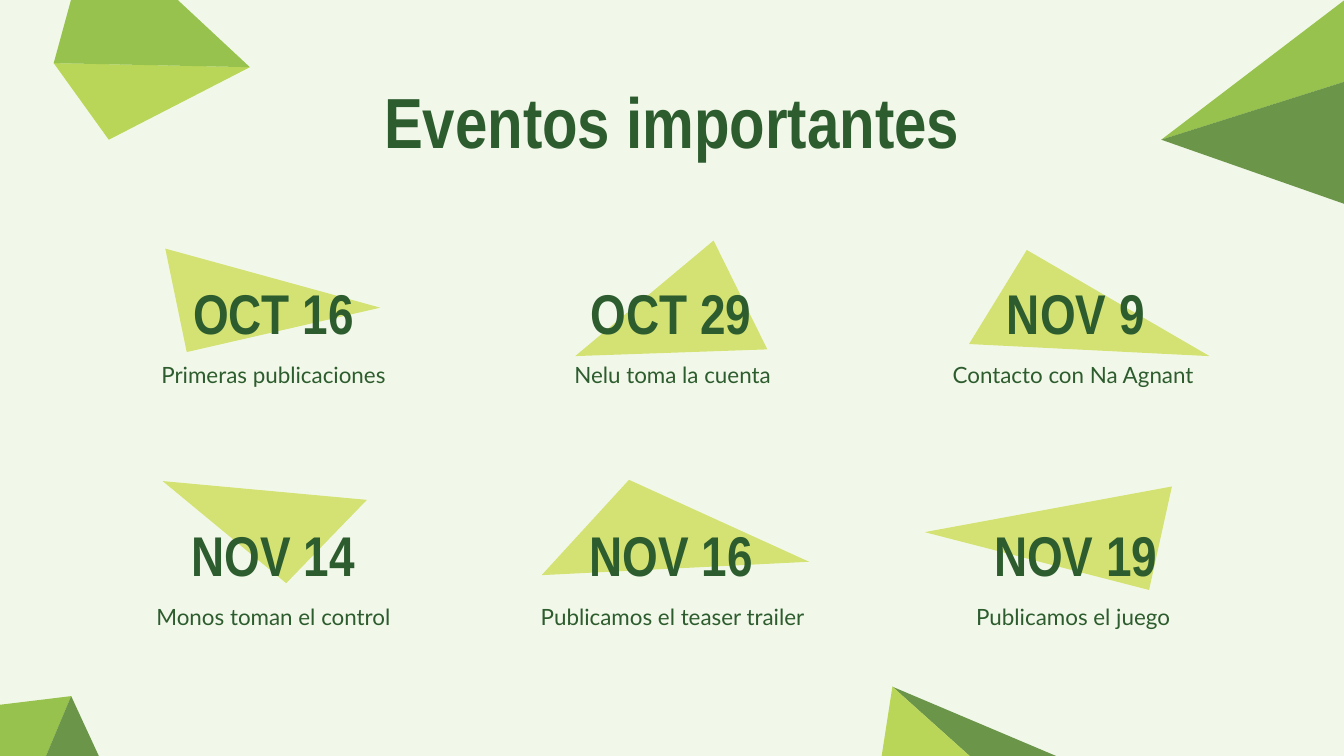
"""Build the slide of important events: six dates over triangles."""
import pptx
import pptx.dml.color
import pptx.enum.text
import pptx.util

Inches = pptx.util.Inches
ALIGN = pptx.enum.text.PP_ALIGN
ANCHOR = pptx.enum.text.MSO_ANCHOR

COLORS = {
    "background": "F2F8E9",
    "text": "2D5C2E",
    "lime": "B9D658",
    "leaf": "96C24D",
    "moss": "6B964A",
    "pale": "D4E273",
}
TITLE = "Eventos importantes"
CORNERS = [
    ("lime", [(1.86, 0.5), (0.81, 1.04), (0.4, 0.47)]),
    ("leaf", [(1.86, 0.5), (0.69, -0.59), (0.4, 0.47)]),
    ("moss", [(6.64, 5.11), (7.8, 6.15), (8.2, 5.77)]),
    ("lime", [(6.64, 5.11), (7.8, 6.15), (6.51, 5.95)]),
    ("leaf", [(8.64, 1.04), (10.82, 0.35), (10.53, -0.4)]),
    ("moss", [(8.64, 1.04), (10.82, 0.35), (10.01, 1.52)]),
    ("leaf", [(0.53, 5.18), (-0.62, 5.32), (-0.13, 6.75)]),
    ("moss", [(0.53, 5.18), (1.01, 6.22), (-0.13, 6.75)]),
]
EVENTS = [
    ("OCT 16", "Primeras publicaciones", [(2.83, 2.29), (1.23, 1.85), (1.39, 2.62)]),
    ("OCT 29", "Nelu toma la cuenta", [(5.31, 1.79), (4.28, 2.65), (5.71, 2.6)]),
    ("NOV 9", "Contacto con Na Agnant", [(7.64, 1.86), (7.21, 2.56), (9, 2.65)]),
    ("NOV 14", "Monos toman el control", [(2.13, 4.34), (2.73, 3.72), (1.21, 3.58)]),
    ("NOV 16", "Publicamos el teaser trailer", [(4.68, 3.57), (4.03, 4.28), (6.02, 4.18)]),
    ("NOV 19", "Publicamos el juego", [(6.88, 3.96), (8.72, 3.62), (8.55, 4.39)]),
]
DATE_LEFTS = (1.19, 4.15, 7.16)
LABEL_LEFTS = (0.84, 3.81, 6.79)
DATE_ROWS = ((2.12, 0.41), (3.93, 0.38))
LABEL_TOPS = (2.59, 4.39)
DATE_WIDTH = 1.69
LABEL_SIZE = (2.39, 0.63)

HEADING = {"name": "Arial Narrow", "size": pptx.util.Pt(38), "bold": True}
DATE = {**HEADING, "size": pptx.util.Pt(30)}
LABEL = {"name": "Lato", "size": pptx.util.Pt(12), "bold": False}
FRAME = {
    "word_wrap": True,
    "auto_size": pptx.enum.text.MSO_AUTO_SIZE.NONE,
    **{f"margin_{side}": Inches(0.1) for side in ("left", "top", "right", "bottom")},
}


def rgb(name):
    """Return the named colour."""
    return pptx.dml.color.RGBColor.from_string(COLORS[name])


def set_all(target, values):
    """Set each attribute in values on target."""
    for name, value in values.items():
        setattr(target, name, value)


def add_triangle(s, color, points):
    """Draw a filled triangle through three points in inches."""
    start, *rest = [(Inches(x), Inches(y)) for x, y in points]
    builder = s.shapes.build_freeform(*start)
    builder.add_line_segments(rest, close=True)
    sp = builder.convert_to_shape()
    sp.shadow.inherit = False
    sp.fill.solid()
    sp.fill.fore_color.rgb = rgb(color)
    sp.line.fill.background()


def write(sp, text, font, anchor):
    """Put one centred paragraph into a shape."""
    tf = sp.text_frame
    set_all(tf, {**FRAME, "vertical_anchor": anchor})
    p = tf.paragraphs[0]
    p.alignment = ALIGN.CENTER
    r = p.add_run()
    r.text = text
    set_all(r.font, font)
    r.font.color.rgb = rgb("text")


def add_text(s, box, text, font, anchor):
    """Add a text box placed in inches."""
    write(s.shapes.add_textbox(*map(Inches, box)), text, font, anchor)


def main():
    """Compose and save the slide."""
    prs = pptx.Presentation()
    width = Inches(10)
    set_all(prs, {"slide_width": width, "slide_height": width * 9 // 16})
    s = prs.slides.add_slide(prs.slide_layouts[5])
    s.background.fill.solid()
    s.background.fill.fore_color.rgb = rgb("background")

    title = s.shapes.title
    box = zip(("left", "top", "width", "height"), map(Inches, (0.78, 0.48, 8.44, 0.63)))
    set_all(title, dict(box))
    write(title, TITLE, HEADING, ANCHOR.TOP)

    for color, points in CORNERS:
        add_triangle(s, color, points)
    for i, (date, label, points) in enumerate(EVENTS):
        row, col = divmod(i, len(DATE_LEFTS))
        top, height = DATE_ROWS[row]
        add_triangle(s, "pale", points)
        add_text(s, (DATE_LEFTS[col], top, DATE_WIDTH, height), date, DATE, ANCHOR.MIDDLE)
        add_text(s, (LABEL_LEFTS[col], LABEL_TOPS[row], *LABEL_SIZE), label, LABEL, ANCHOR.TOP)

    prs.save("out.pptx")


if __name__ == "__main__":
    main()
